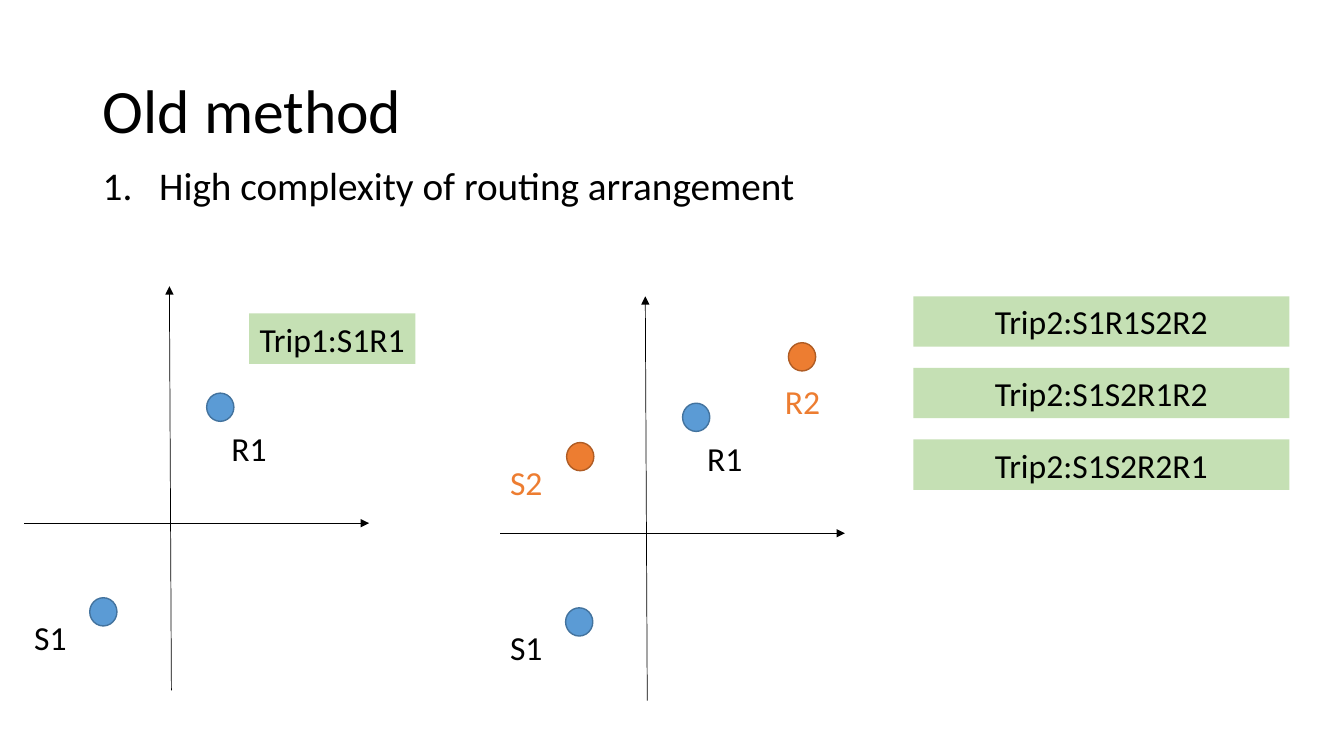
from lxml.etree import SubElement
from pptx import Presentation
from pptx.dml.color import RGBColor
from pptx.enum.shapes import MSO_CONNECTOR, MSO_SHAPE
from pptx.enum.text import MSO_ANCHOR, MSO_AUTO_SIZE, PP_ALIGN
from pptx.oxml.ns import qn
from pptx.util import Inches, Pt

COLORS = {
    "text": "000000",
    "first": "5B9BD5", "first edge": "43739E",
    "second": "ED7D31", "second edge": "AF5C24",
    "trip": "C5E0B4",
}


def rgb(name):
    return RGBColor.from_string(COLORS[name])


def write(shape, text, size=24, color="text", align=PP_ALIGN.CENTER, wrap=False):
    frame = shape.text_frame
    frame.text = text
    frame.word_wrap = wrap
    frame.auto_size = MSO_AUTO_SIZE.SHAPE_TO_FIT_TEXT
    paragraph = frame.paragraphs[0]
    paragraph.alignment = align
    font = paragraph.runs[0].font
    font.name, font.size, font.color.rgb = "Calibri", Pt(size), rgb(color)
    return paragraph


deck = Presentation()
deck.slide_width, deck.slide_height = Inches(13.33), Inches(7.5)
slide = deck.slides.add_slide(deck.slide_layouts[5])
shapes = slide.shapes

# Title
title = shapes.title
title.left, title.top = Inches(0.92), Inches(0.4)
title.width, title.height = Inches(11.5), Inches(1.45)
write(title, "Old method", 44, align=PP_ALIGN.LEFT, wrap=True).line_spacing = 0.9
title.text_frame.auto_size = MSO_AUTO_SIZE.NONE
title.text_frame.vertical_anchor = MSO_ANCHOR.MIDDLE

# Numbered statement
statement = shapes.add_textbox(Inches(0.92), Inches(1.6), Inches(11.88), Inches(0.74))
statement_line = write(statement, "High complexity of routing arrangement", 28,
                       align=PP_ALIGN.LEFT, wrap=True)
statement.text_frame.auto_size = MSO_AUTO_SIZE.NONE
statement_line.line_spacing = 0.9
numbering = statement_line._p.get_or_add_pPr()
numbering.set("marL", str(Inches(0.56)))
numbering.set("indent", str(-Inches(0.56)))
SubElement(numbering, qn("a:buFont"), typeface="+mj-lt")
SubElement(numbering, qn("a:buAutoNum"), type="arabicPeriod")

# Route maps: stops are (name, group, dot offset, label offset) from the origin
axes = [((0.01, 1.66), (-0.01, -2.35)), ((-1.45, 0), (1.97, 0))]
first_stops = [
    ("S1", "first", (-0.8, 0.74), (-1.47, 0.88)),
    ("R1", "first", (0.36, -1.29), (0.5, -0.99)),
]
second_stops = [
    ("S2", "second", (-0.79, -0.9), (-1.47, -0.76)),
    ("R2", "second", (1.41, -1.89), (1.27, -1.56)),
]
route_maps = [((1.69, 5.19), first_stops), ((6.41, 5.29), first_stops + second_stops)]

for (origin_x, origin_y), stops in route_maps:
    for (start_x, start_y), (end_x, end_y) in axes:
        axis = shapes.add_connector(
            MSO_CONNECTOR.STRAIGHT,
            Inches(origin_x + start_x), Inches(origin_y + start_y),
            Inches(origin_x + end_x), Inches(origin_y + end_y))
        axis.line.color.rgb = rgb("text")
        axis.line.width = Pt(0.5)
        SubElement(axis.line._get_or_add_ln(), qn("a:tailEnd"), type="triangle")
        SubElement(axis._element.spPr, qn("a:effectLst"))

    for name, group, (dot_x, dot_y), (label_x, label_y) in stops:
        dot = shapes.add_shape(MSO_SHAPE.OVAL, Inches(origin_x + dot_x),
                               Inches(origin_y + dot_y), Inches(0.27), Inches(0.28))
        dot.shadow.inherit = False
        dot.fill.solid()
        dot.fill.fore_color.rgb = rgb(group)
        dot.line.color.rgb = rgb(group + " edge")
        dot.line.width = Pt(1)
        label = shapes.add_textbox(Inches(origin_x + label_x), Inches(origin_y + label_y),
                                   Inches(0.56), Inches(0.5))
        write(label, name, color="second" if group == "second" else "text")

# Trips: one for the first map, three alternatives stacked beside the second
alternatives = ["S1R1S2R2", "S1S2R1R2", "S1S2R2R1"]
trips = [("Trip1:S1R1", 2.47, 3.11, 1.65)]
trips += [("Trip2:" + order, 9.06, 2.94 + 0.71 * row, 3.73)
          for row, order in enumerate(alternatives)]
for text, left, top, width in trips:
    trip = shapes.add_shape(MSO_SHAPE.RECTANGLE, Inches(left), Inches(top),
                            Inches(width), Inches(0.5))
    trip.shadow.inherit = False
    trip.fill.solid()
    trip.fill.fore_color.rgb = rgb("trip")
    trip.line.fill.background()
    write(trip, text, wrap=text.startswith("Trip2"))

deck.save("out.pptx")
